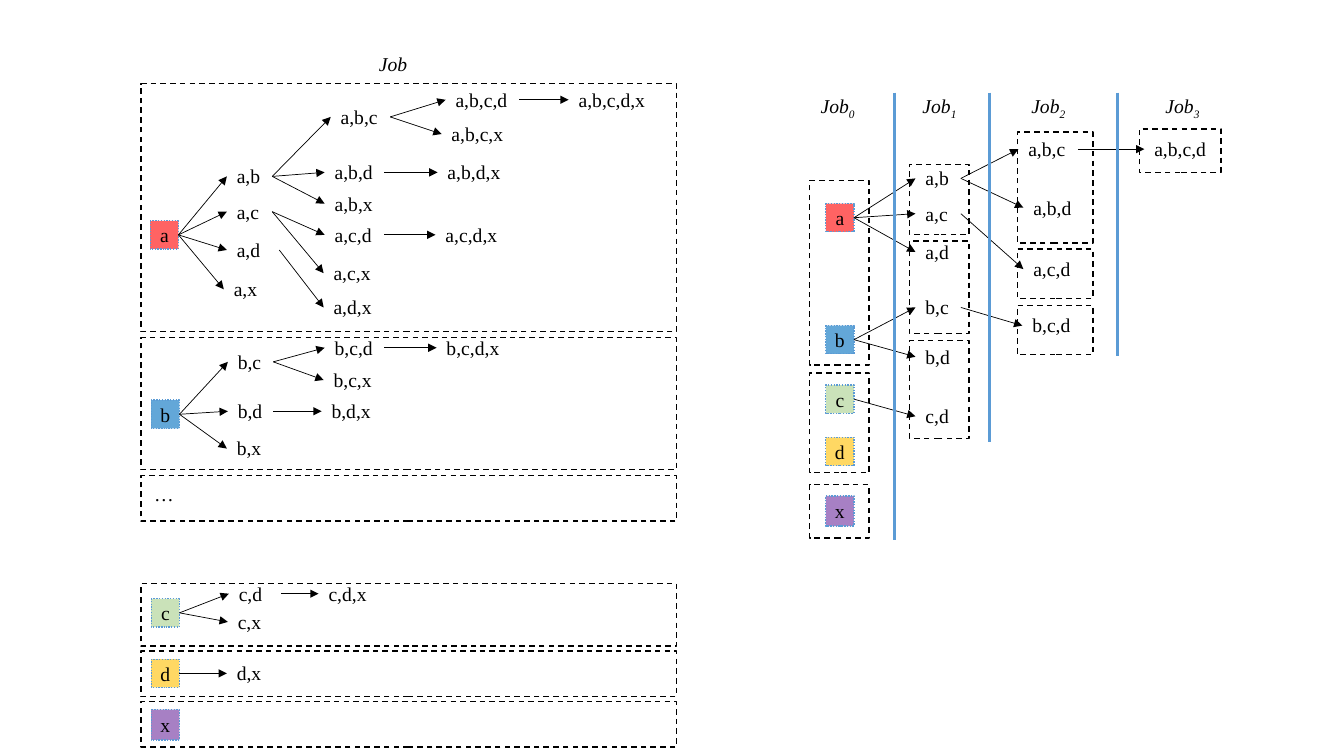
from lxml import etree
from pptx import Presentation
from pptx.dml.color import RGBColor
from pptx.enum import dml, shapes, text
from pptx.oxml import ns
from pptx.util import Inches, Pt

BLACK = RGBColor(0x00, 0x00, 0x00)
BLUE = RGBColor(0x5B, 0x9B, 0xD5)
ROOT_COLORS = {
    "a": RGBColor(0xFF, 0x00, 0x00),
    "b": RGBColor(0x00, 0x70, 0xC0),
    "c": RGBColor(0xA9, 0xD1, 0x8E),
    "d": RGBColor(0xFF, 0xC0, 0x00),
    "x": RGBColor(0x70, 0x30, 0xA0),
}

# Roots: label -> left, top, height
SINGLE_JOB_ROOTS = {
    "a": (1.49, 2.19, 0.28), "b": (1.5, 3.97, 0.28), "c": (1.5, 5.94, 0.28),
    "d": (1.5, 6.54, 0.28), "x": (1.5, 7.04, 0.3),
}
STAGED_ROOTS = {
    "a": (8.19, 2.02, 0.28), "b": (8.19, 3.23, 0.28), "c": (8.19, 3.82, 0.28),
    "d": (8.19, 4.34, 0.28), "x": (8.19, 4.92, 0.3),
}

# Itemsets: label -> left, top and, for boxes wider than their text, width
SINGLE_JOB_SETS = {
    "a,b": (2.25, 1.58), "a,c": (2.25, 1.93), "a,d": (2.25, 2.31, 0.52),
    "a,x": (2.22, 2.7, 0.52), "b,c": (2.26, 3.42), "b,d": (2.26, 3.91),
    "b,x": (2.25, 4.28, 0.52), "c,d": (2.27, 5.72, 0.52),
    "c,x": (2.26, 6.0, 0.52), "d,x": (2.25, 6.51, 0.52),
    "a,b,c": (3.28, 0.99), "a,b,d": (3.22, 1.54), "a,b,x": (3.22, 1.85),
    "a,c,d": (3.22, 2.16), "a,c,x": (3.21, 2.54, 0.69),
    "a,d,x": (3.21, 2.88, 0.69), "b,c,d": (3.22, 3.28), "b,c,x": (3.21, 3.6),
    "b,d,x": (3.19, 3.91, 0.73), "c,d,x": (3.16, 5.72, 0.79),
    "a,b,c,d": (4.42, 0.82), "a,b,c,x": (4.38, 1.16),
    "a,b,d,x": (4.34, 1.54, 0.93), "a,c,d,x": (4.32, 2.16, 0.92),
    "b,c,d,x": (4.33, 3.28, 0.92), "a,b,c,d,x": (5.64, 0.82, 1.11),
}
STAGED_SETS = {
    "a,b": (9.08, 1.6), "a,c": (9.08, 1.95), "a,d": (9.08, 2.33, 0.52),
    "b,c": (9.08, 2.88), "b,d": (9.08, 3.37), "c,d": (9.08, 3.96, 0.52),
    "a,b,c": (10.1, 1.31), "a,b,d": (10.15, 1.89), "a,c,d": (10.15, 2.5),
    "b,c,d": (10.14, 3.06), "a,b,c,d": (11.35, 1.31),
}

# Dashed groups: left, width, (top, height) of each
GROUP_COLUMNS = [
    (1.4, 5.31, [(0.83, 2.46), (3.35, 1.31), (4.72, 0.45), (5.79, 0.62),
                 (6.46, 0.45), (6.96, 0.45)]),
    (8.03, 0.59, [(1.79, 1.83), (3.7, 0.99), (4.81, 0.53)]),
    (9.02, 0.59, [(1.63, 0.7), (2.39, 0.92), (3.38, 0.97)]),
    (10.09, 0.75, [(1.31, 1.1), (2.47, 0.49), (3.03, 0.49)]),
    (11.3, 0.81, [(1.28, 0.43)]),
]
JOB_LEFTS = [8.04, 9.05, 10.13, 11.46]
DIVIDERS = [(8.87, 5.36), (9.81, 4.39), (11.08, 3.53)]  # x, bottom


class Diagram:
    FONT = "Times New Roman"
    SIZE = Pt(14)
    LABEL_HEIGHT = 0.34

    def __init__(self, slide):
        self.shapes = slide.shapes

    def style_text(self, paragraph, italic=False):
        font = paragraph.font
        font.name, font.size, font.italic = self.FONT, self.SIZE, italic
        font.color.rgb = BLACK

    def box(self, left, top, width, height, line_color, dash):
        box = self.shapes.add_shape(
            shapes.MSO_SHAPE.RECTANGLE,
            Inches(left), Inches(top), Inches(width), Inches(height))
        box.shadow.inherit = False
        box.fill.background()
        box.line.color.rgb = line_color
        box.line.width = Pt(1)
        box.line.dash_style = dash
        return box

    def group(self, left, top, width, height):
        self.box(left, top, width, height, BLACK, dml.MSO_LINE.DASH)

    def root(self, item, left, top, height):
        square = self.box(left, top, 0.28, height, BLUE, dml.MSO_LINE.ROUND_DOT)
        square.fill.solid()
        square.fill.fore_color.rgb = ROOT_COLORS[item]
        tint = square.fill._xPr.find(".//" + ns.qn("a:srgbClr"))
        etree.SubElement(tint, ns.qn("a:alpha"), val="61000")
        frame = square.text_frame
        frame.margin_left = frame.margin_right = 0
        frame.margin_top = frame.margin_bottom = 0
        frame.vertical_anchor = text.MSO_ANCHOR.MIDDLE
        caption = frame.paragraphs[0]
        caption.text = item
        caption.alignment = text.PP_ALIGN.CENTER
        self.style_text(caption)
        return square

    def label(self, words, left, top, width, wrap=False, italic=False, sub=""):
        label = self.shapes.add_textbox(
            Inches(left), Inches(top), Inches(width), Inches(self.LABEL_HEIGHT))
        frame = label.text_frame
        frame.word_wrap = wrap
        frame.auto_size = text.MSO_AUTO_SIZE.SHAPE_TO_FIT_TEXT
        paragraph = frame.paragraphs[0]
        paragraph.add_run().text = words
        if sub:
            subscript = paragraph.add_run()
            subscript.text = sub
            subscript._r.get_or_add_rPr().set("baseline", "-25000")
        self.style_text(paragraph, italic)
        return label

    def itemset(self, words, left, top, width=None):
        tight = 0.17 + 0.14 * len(words.split(","))
        return self.label(words, left, top, width or tight, wrap=width is not None)

    def line(self, start, end, color, weight):
        line = self.shapes.add_connector(
            shapes.MSO_CONNECTOR.STRAIGHT,
            *(Inches(value) for value in (*start, *end)))
        line.line.color.rgb = color
        line.line.width = Pt(weight)
        etree.SubElement(line._element.spPr, ns.qn("a:effectLst"))
        return line

    def arrow(self, parent, child):
        arrow = self.line((0, 0), (1, 1), BLACK, 0.5)
        arrow.begin_connect(parent, 3)  # right side
        arrow.end_connect(child, 1)  # left side
        etree.SubElement(arrow.line._get_or_add_ln(), ns.qn("a:tailEnd"),
                         type="triangle")

    def tree(self, roots, itemsets):
        nodes = {item: self.root(item, *place) for item, place in roots.items()}
        for words, place in itemsets.items():
            nodes[words] = self.itemset(words, *place)
            # Each itemset extends the one without its last item
            self.arrow(nodes[words.rpartition(",")[0]], nodes[words])


def main():
    deck = Presentation()
    deck.slide_width, deck.slide_height = Inches(13.33), Inches(7.5)
    diagram = Diagram(deck.slides.add_slide(deck.slide_layouts[6]))

    # Enumeration trees
    diagram.tree(SINGLE_JOB_ROOTS, SINGLE_JOB_SETS)
    diagram.tree(STAGED_ROOTS, STAGED_SETS)
    diagram.label("…", 1.43, 4.73, 0.52, wrap=True)

    # Work groups
    for left, width, spans in GROUP_COLUMNS:
        for top, height in spans:
            diagram.group(left, top, width, height)

    # Job headings and stage dividers
    diagram.label("Job", 3.66, 0.47, 0.49, italic=True)
    for number, left in enumerate(JOB_LEFTS):
        diagram.label("Job", left, 0.88, 0.55, italic=True, sub=str(number))
    for x, bottom in DIVIDERS:
        diagram.line((x, 0.92), (x, bottom), BLUE, 2.25)

    deck.save("out.pptx")


if __name__ == "__main__":
    main()
